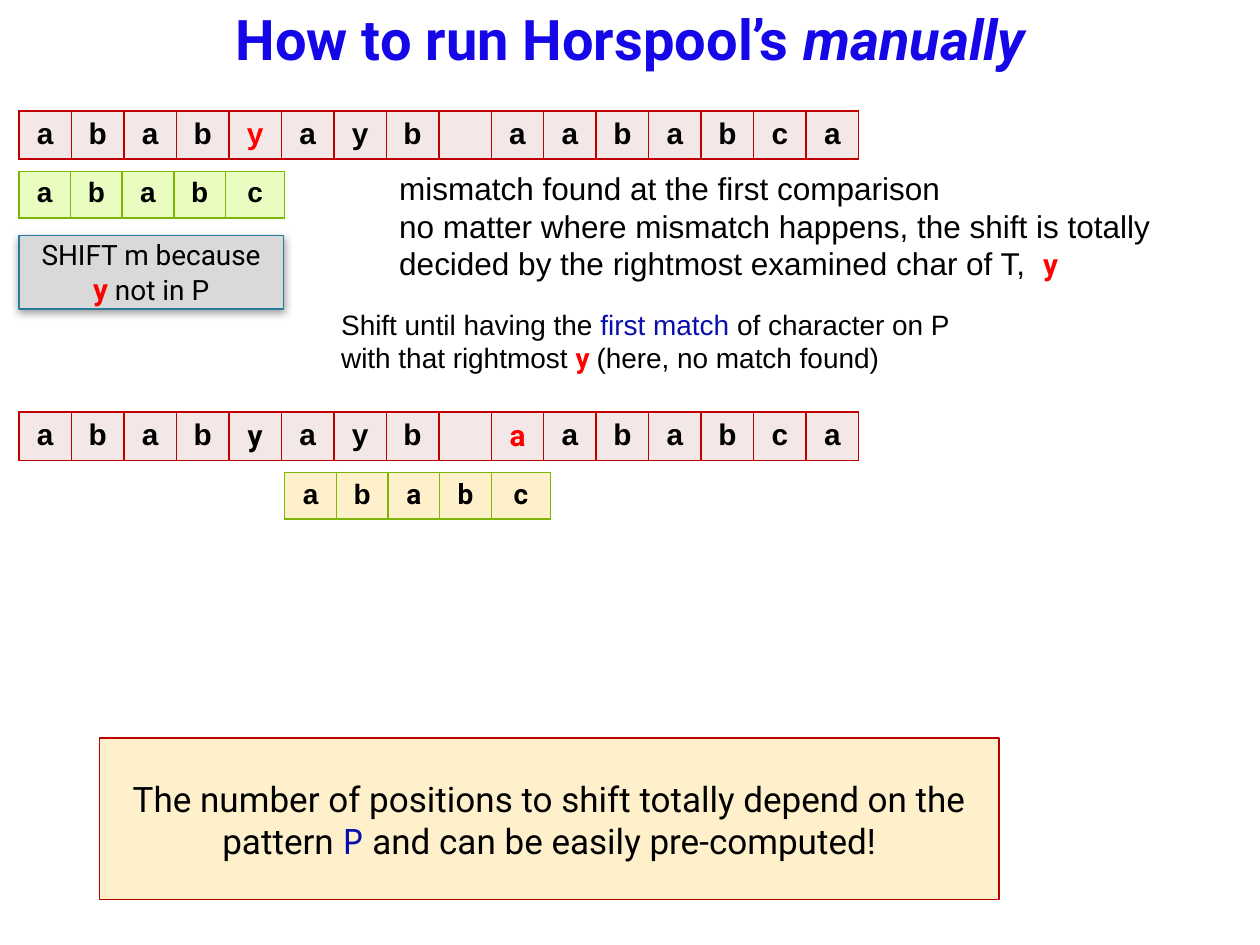
"""Build the slide on running Horspool's search by hand."""
from dataclasses import dataclass

from lxml import etree
from pptx import Presentation
from pptx.dml.color import RGBColor
from pptx.enum.shapes import MSO_SHAPE
from pptx.enum.text import MSO_ANCHOR, PP_ALIGN
from pptx.oxml.ns import qn
from pptx.util import Inches, Pt

RECT = MSO_SHAPE.RECTANGLE
MIDDLE, TOP = MSO_ANCHOR.MIDDLE, MSO_ANCHOR.TOP
CENTER, LEFT = PP_ALIGN.CENTER, PP_ALIGN.LEFT


@dataclass(frozen=True)
class Theme:
    """Colours, fonts and type sizes."""
    title: str = "1507E7"
    ink: str = "000000"
    red: str = "FF0000"
    navy: str = "080FAC"
    rose: str = "F4E7E7"
    lime: str = "EAFDC1"
    cream: str = "FFF0CC"
    gray: str = "D9D9D9"
    crimson: str = "C00000"
    brick: str = "BC0000"
    green: str = "7EB606"
    teal: str = "287A9E"
    sans: str = "Arial"
    head: str = "Roboto"
    mono: str = "Noto Sans Mono"
    huge: int = 32
    large: int = 20
    body: int = 18
    mark: int = 17
    small: int = 16


T = Theme()
TEXT = "ababyayb aababca"
PATTERN = "ababc"
TEXT_COLS = [6.67 / len(TEXT)] * len(TEXT)
PATTERN_COLS = [0.41] * 4 + [0.47]


def add_run(para, text, size, font=T.sans, color=T.ink, bold=False, italic=False):
    """Add one styled run to a paragraph."""
    run = para.add_run()
    run.text = text
    face = run.font
    face.size, face.name = Pt(size), font
    face.bold, face.italic = bold, italic
    face.color.rgb = RGBColor.from_string(color)


def fill_frame(frame, paras, align, anchor):
    """Write paragraphs, each a list of runs, into a text frame."""
    frame.word_wrap = True
    frame.vertical_anchor = anchor
    for i, runs in enumerate(paras):
        para = frame.add_paragraph() if i else frame.paragraphs[0]
        para.alignment = align
        for run in runs:
            add_run(para, *run)


def add_text(slide, box, paras, align=LEFT, anchor=TOP):
    """Add a text box."""
    shape = slide.shapes.add_textbox(*map(Inches, box))
    fill_frame(shape.text_frame, paras, align, anchor)


def add_panel(slide, box, fill, line, runs):
    """Add an outlined rectangle with centred text."""
    shape = slide.shapes.add_shape(RECT, *map(Inches, box))
    shape.shadow.inherit = False
    shape.fill.solid()
    shape.fill.fore_color.rgb = RGBColor.from_string(fill)
    shape.line.color.rgb = RGBColor.from_string(line)
    shape.line.width = Pt(1)
    fill_frame(shape.text_frame, [runs], CENTER, MIDDLE)
    return shape


def add_color(parent, color):
    """Append a colour element and return it."""
    return etree.SubElement(parent, qn("a:srgbClr"), val=color)


def add_shadow(shape):
    """Give a shape a soft shadow below it."""
    effects = shape._element.spPr.find(qn("a:effectLst"))
    shade = etree.SubElement(effects, qn("a:outerShdw"), blurRad=str(Pt(5)),
                             dist=str(Pt(2)), dir="5400000", rotWithShape="0")
    etree.SubElement(add_color(shade, T.ink), qn("a:alpha"), val="40000")


def add_border(cell, color):
    """Draw all four borders of a cell."""
    props = cell._tc.get_or_add_tcPr()
    for side in "LRTB":
        line = etree.SubElement(props, qn(f"a:ln{side}"), w=str(Pt(1)))
        add_color(etree.SubElement(line, qn("a:solidFill")), color)


def add_strip(slide, left, top, chars, cols, size, fill, line, marks):
    """Add a one-row table with a character per cell."""
    frame = slide.shapes.add_table(1, len(cols), Inches(left), Inches(top),
                                   Inches(sum(cols)), Inches(0.37))
    table = frame.table
    table.first_row = table.horz_banding = False
    for i, (char, width) in enumerate(zip(chars, cols)):
        table.columns[i].width = Inches(width)
        cell = table.cell(0, i)
        add_border(cell, line)
        cell.fill.solid()
        cell.fill.fore_color.rgb = RGBColor.from_string(fill)
        para = cell.text_frame.paragraphs[0]
        para.alignment = CENTER
        if char.strip():
            font, color = marks.get(i, (T.sans, T.ink))
            add_run(para, char, size, font, color, True)
        else:
            etree.SubElement(para._p, qn("a:endParaRPr"), sz=str(size * 100))


def add_text_row(slide, top, marks):
    """Add the searched text as a strip."""
    add_strip(slide, 0.15, top, TEXT, TEXT_COLS, T.mark, T.rose, T.crimson, marks)


def add_pattern(slide, left, top, fill, marks):
    """Add the pattern as a strip."""
    add_strip(slide, left, top, PATTERN, PATTERN_COLS, T.small, fill, T.green, marks)


def main():
    """Build and save the slide."""
    deck = Presentation()
    deck.slide_width, deck.slide_height = Inches(10), Inches(7.5)
    slide = deck.slides.add_slide(deck.slide_layouts[6])

    add_text(slide, (0.29, 0.12, 9.43, 0.37), [[
        ("How to run Horspool’s ", T.huge, T.head, T.title, True),
        ("manually", T.huge, T.head, T.title, True, True)]], CENTER, MIDDLE)

    add_text_row(slide, 0.88, {4: (T.sans, T.red)})
    add_pattern(slide, 0.15, 1.36, T.lime, {})
    add_text(slide, (3.07, 1.29, 6.55, 1.01), [
        [("mismatch found at the first comparison", T.body)],
        [("no matter where mismatch happens, the shift is totally "
          "decided by the rightmost examined char of T,  ", T.body),
         ("y", T.mark, T.head, T.red, True)]])
    add_text(slide, (2.61, 2.39, 5.1, 0.64), [
        [("Shift until having the ", T.small),
         ("first match ", T.small, T.sans, T.navy),
         ("of character on P", T.small)],
        [("with that rightmost ", T.small),
         ("y ", T.small, T.head, T.red, True),
         ("(here, no match found)", T.small)]])

    add_text_row(slide, 3.27, {4: (T.head, T.ink), 9: (T.head, T.red)})
    add_pattern(slide, 2.26, 3.75, T.cream,
                dict.fromkeys((2, 3, 4), (T.head, T.ink)))

    note = add_panel(slide, (0.15, 1.87, 2.1, 0.58), T.gray, T.teal, [
        ("SHIFT m because ", T.small, T.head),
        ("y", T.mark, T.head, T.red, True),
        (" not in P", T.small, T.head)])
    add_shadow(note)
    add_panel(slide, (0.79, 5.86, 7.14, 1.28), T.cream, T.brick, [
        ("The number of positions to shift totally depend on the pattern ",
         T.large, T.head),
        ("P", T.large, T.mono, T.navy),
        (" and can be easily pre-computed!", T.large, T.head)])

    deck.save("out.pptx")


main()
